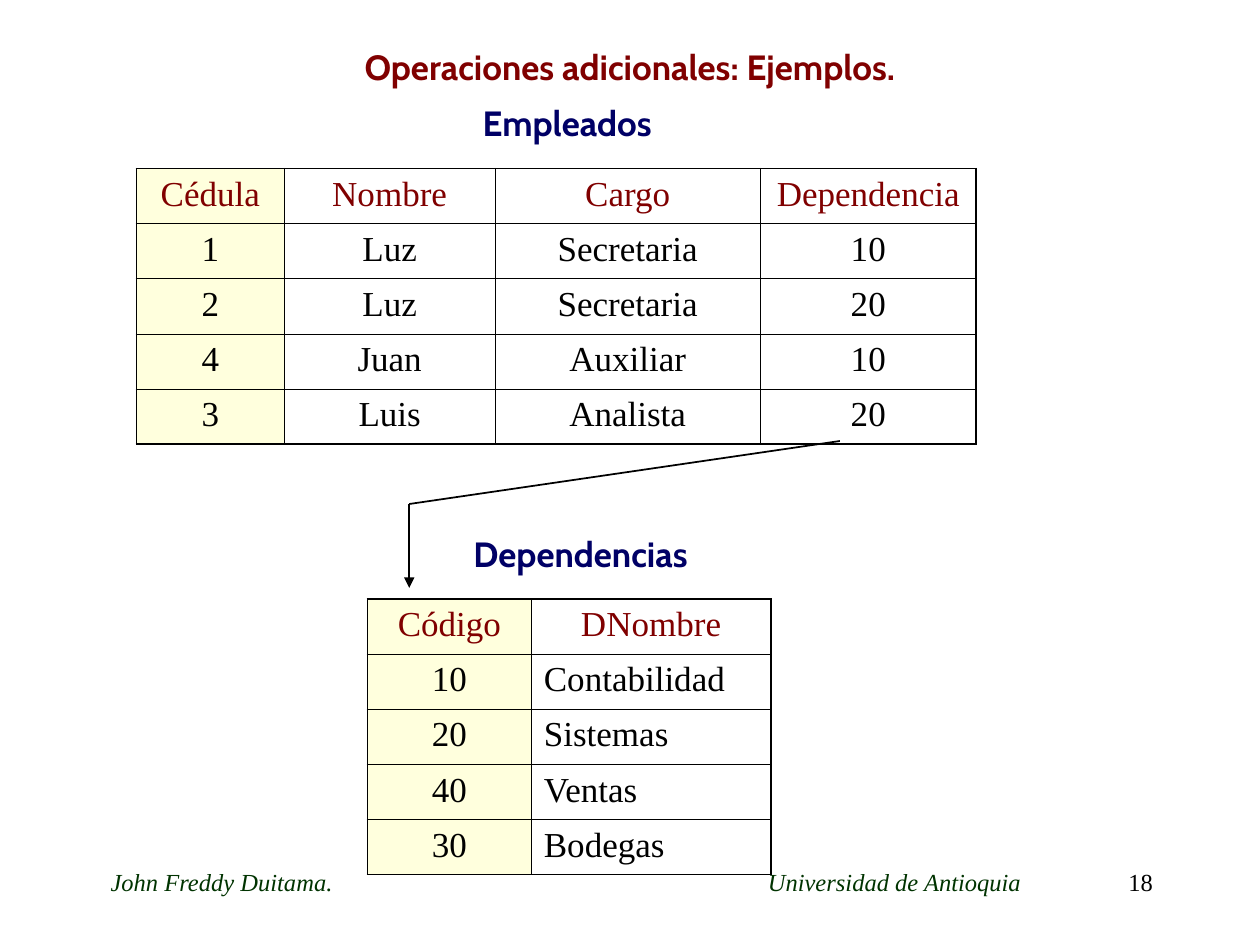
from lxml import etree
from pptx import Presentation
from pptx.dml.color import RGBColor
from pptx.enum.shapes import MSO_CONNECTOR
from pptx.enum.text import MSO_ANCHOR, PP_ALIGN
from pptx.oxml.ns import qn
from pptx.util import Cm, Pt

LEFT, MID, RIGHT, JUST = (PP_ALIGN.LEFT, PP_ALIGN.CENTER,
                          PP_ALIGN.RIGHT, PP_ALIGN.JUSTIFY)
TOP, CENTER = MSO_ANCHOR.TOP, MSO_ANCHOR.MIDDLE
STRAIGHT = MSO_CONNECTOR.STRAIGHT
SERIF, SANS = "Times New Roman", "Cabin"
HUES = {"red": "800000", "navy": "000066", "green": "003300",
        "black": "000000", "key": "FFFFDD"}

# Content: lengths in centimetres
LABELS = [
    ("Operaciones adicionales: Ejemplos.", (1.98, 0.79, 21.44, 1.12), "red"),
    ("Empleados", (7.41, 1.91, 8.05, 1.12), "navy"),
    ("Dependencias", (8.53, 10.59, 6.35, 1.12), "navy"),
]
TABLES = [
    {"at": (2.75, 3.4), "cols": [2.98, 4.25, 5.35, 4.35],
     "align": [MID, MID, MID, MID],
     "rows": [("Cédula", "Nombre", "Cargo", "Dependencia"),
              ("1", "Luz", "Secretaria", "10"),
              ("2", "Luz", "Secretaria", "20"),
              ("4", "Juan", "Auxiliar", "10"),
              ("3", "Luis", "Analista", "20")]},
    {"at": (7.41, 12.08), "cols": [3.3, 4.83], "align": [MID, JUST],
     "rows": [("Código", "DNombre"),
              ("10", "Contabilidad"),
              ("20", "Sistemas"),
              ("40", "Ventas"),
              ("30", "Bodegas")]},
]
ROW = 1.11
ROUTE = [(16.93, 8.89), (8.25, 10.16), (8.25, 11.85)]
FOOT = "John Freddy Duitama.\tUniversidad de Antioquia"
TAB = 13.25
PAGE = "18"


def hue(name):
    return RGBColor.from_string(HUES[name])


def write(frame, text, size=20, font=SERIF, color="black", align=MID,
          bold=False, italic=False):
    par = frame.paragraphs[0]
    par.alignment = align
    run = par.add_run()
    run.text = text
    face = run.font
    face.size, face.name = Pt(size), font
    face.bold, face.italic = bold, italic
    face.color.rgb = hue(color)
    return par


def add_box(slide, at, anchor=TOP):
    frame = slide.shapes.add_textbox(*map(Cm, at)).text_frame
    frame.word_wrap = True
    frame.vertical_anchor = anchor
    return frame


def add_edges(cell, outer):
    props = cell._tc.get_or_add_tcPr()
    for spot, (side, thick) in enumerate(outer.items()):
        edge = etree.Element(qn("a:" + side), w=str(Pt(1.08 if thick else 0.45)))
        fill = etree.SubElement(edge, qn("a:solidFill"))
        etree.SubElement(fill, qn("a:srgbClr"), val=HUES["black"])
        props.insert(spot, edge)


def add_grid(slide, at, cols, align, rows):
    high, wide = len(rows), len(cols)
    size = (sum(cols), ROW * high)
    grid = slide.shapes.add_table(high, wide, *map(Cm, at + size)).table
    grid.first_row = grid.horz_banding = False
    for col, width in zip(grid.columns, cols):
        col.width = Cm(width)
    for r, row in enumerate(rows):
        grid.rows[r].height = Cm(ROW)
        for c, text in enumerate(row):
            cell = grid.cell(r, c)
            write(cell.text_frame, text, color="black" if r else "red",
                  align=align[c] if r else MID)
            if c == 0:
                cell.fill.solid()
                cell.fill.fore_color.rgb = hue("key")
            else:
                cell.fill.background()
            add_edges(cell, {"lnL": c == 0, "lnR": c == wide - 1,
                             "lnT": r == 0, "lnB": r == high - 1})


def add_route(slide, stops):
    group = slide.shapes.add_group_shape()
    for start, end in zip(stops, stops[1:]):
        link = group.shapes.add_connector(STRAIGHT, *map(Cm, start + end))
        link.line.width = Pt(1)
        link.line.color.rgb = hue("black")
        etree.SubElement(link._element.spPr, qn("a:effectLst"))
    # Arrowhead on the last leg
    etree.SubElement(link.line._get_or_add_ln(), qn("a:tailEnd"),
                     type="triangle")


def main():
    deck = Presentation()
    deck.slide_width, deck.slide_height = Cm(25.4), Cm(19.05)
    slide = deck.slides.add_slide(deck.slide_layouts[6])

    # Footer: a tab stop parts author and university
    par = write(add_box(slide, (1.98, 17.35, 18.97, 1.27)), FOOT, size=14,
                color="green", align=LEFT, italic=True)
    tabs = etree.SubElement(par._p.get_or_add_pPr(), qn("a:tabLst"))
    etree.SubElement(tabs, qn("a:tab"), pos=str(Cm(TAB)), algn="l")
    write(add_box(slide, (20.95, 17.35, 2.54, 1.27)), PAGE, size=14,
          align=RIGHT)

    # Headings, tables and the arrow from one to the other
    for text, at, color in LABELS:
        write(add_box(slide, at, CENTER), text, font=SANS, color=color,
              bold=True)
    for table in TABLES:
        add_grid(slide, **table)
    add_route(slide, ROUTE)

    deck.save("out.pptx")


if __name__ == "__main__":
    main()
